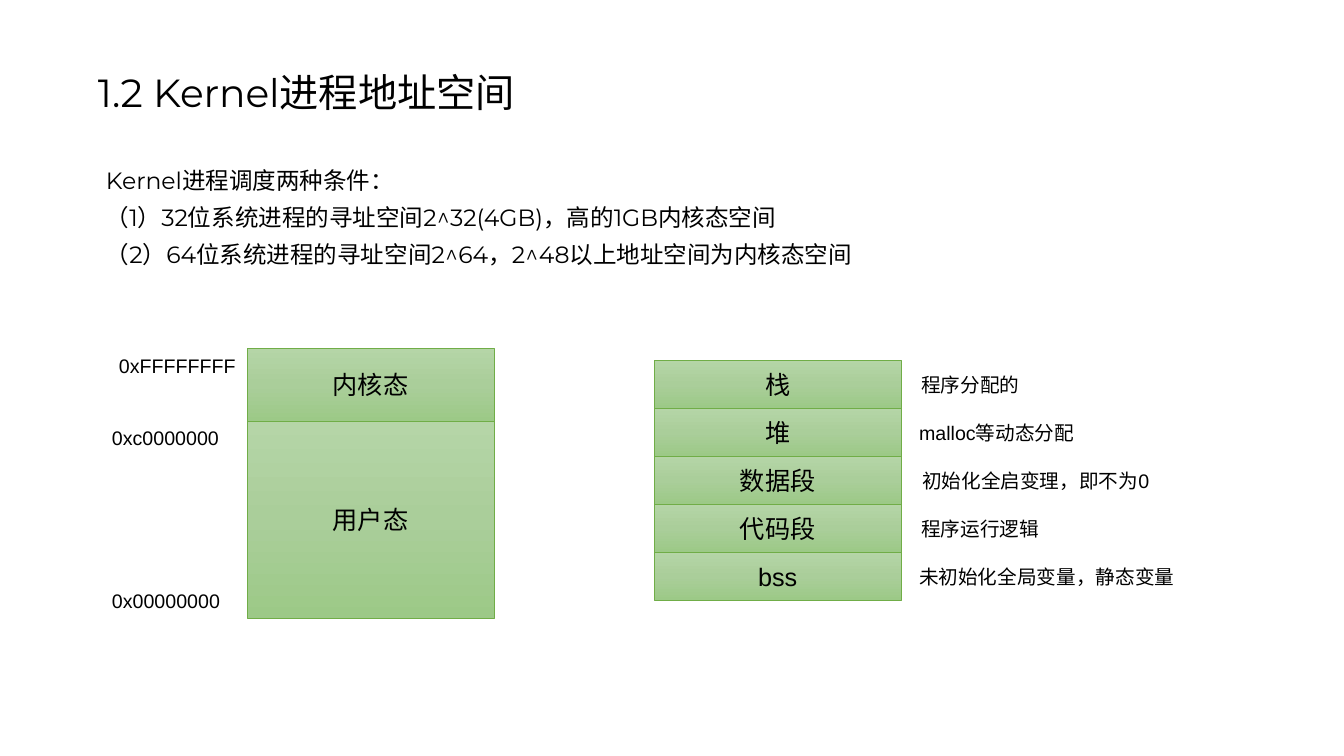
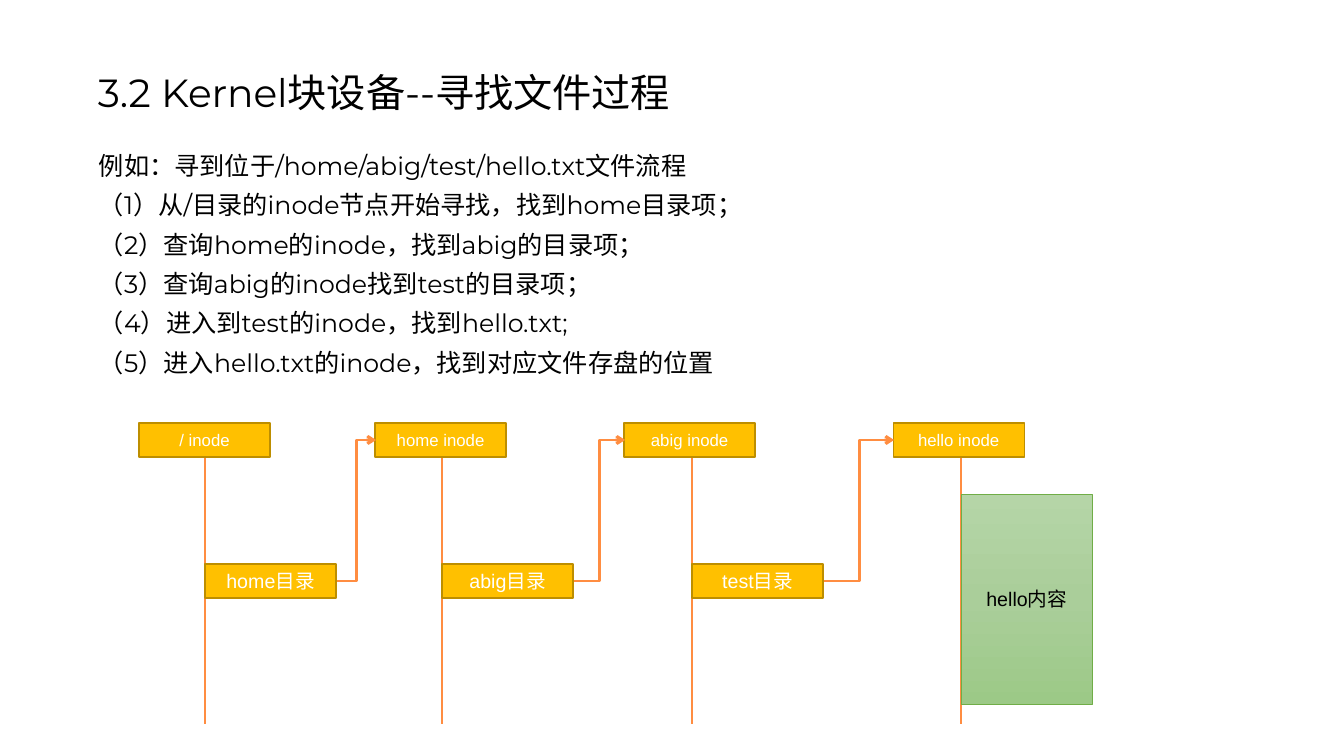
import pptx
import pptx.util
import pptx.dml.color
import pptx.enum.dml
import pptx.enum.shapes
import pptx.enum.text
import pptx.oxml.ns
import copy
import lxml.etree

RGB = pptx.dml.color.RGBColor
BLACK = RGB(0x00, 0x00, 0x00)
WHITE = RGB(0xFF, 0xFF, 0xFF)
GREEN_STOPS = [(0, RGB(0xB5, 0xD5, 0xA7)), (0.5, RGB(0xAA, 0xCE, 0x9A)), (1, RGB(0x9C, 0xC9, 0x87))]
GREEN_LINE = RGB(0x70, 0xAD, 0x47)
GOLD = RGB(0xFF, 0xC0, 0x00)
GOLD_LINE = RGB(0xBD, 0x8E, 0x00)
ORANGE = RGB(0xFF, 0x8D, 0x41)

HEAD_FONT = "Montserrat"
TEXT_FONT = "Arial"
ANCHOR = pptx.enum.text.MSO_ANCHOR
ALIGN = pptx.enum.text.PP_ALIGN
LINK = pptx.enum.shapes.MSO_CONNECTOR
qn = pptx.oxml.ns.qn


def px(length):
    return pptx.util.Emu(round(length * 914400 / 100.8))


class Deck:
    def __init__(self):
        self.deck = pptx.Presentation()
        self.deck.slide_width = pptx.util.Inches(13.33)
        self.deck.slide_height = pptx.util.Inches(7.5)
        self.page = None

    def add_page(self, title):
        self.page = self.deck.slides.add_slide(self.deck.slide_layouts[6])
        self.heading_text([title], 88, 28, 1008, 92, 28)

    def fill_text(self, shape, lines, font, para_format):
        frame = shape.text_frame
        frame.word_wrap = True
        for index, line in enumerate(lines):
            para = frame.add_paragraph() if index else frame.paragraphs[0]
            for name, value in para_format.items():
                setattr(para, name, value)
            span = para.add_run()
            span.text = line
            for name, value in font.items():
                if name == "color":
                    span.font.color.rgb = value
                else:
                    setattr(span.font, name, value)
        return frame

    def heading_text(self, lines, left, top, width, height, size):
        box = self.page.shapes.add_textbox(px(left), px(top), px(width), px(height))
        font = {"name": HEAD_FONT, "size": pptx.util.Pt(size), "color": BLACK}
        frame = self.fill_text(box, lines, font, {"line_spacing": 1.3})
        frame.vertical_anchor = ANCHOR.BOTTOM

    def label(self, text, left, top, width):
        box = self.page.shapes.add_textbox(px(left), px(top), px(width), px(34))
        font = {"name": TEXT_FONT, "size": pptx.util.Pt(14), "color": BLACK}
        frame = self.fill_text(box, [text], font, {})
        frame.auto_size = pptx.enum.text.MSO_AUTO_SIZE.SHAPE_TO_FIT_TEXT

    def block(self, text, left, top, width, height, size, color):
        kind = pptx.enum.shapes.MSO_SHAPE.RECTANGLE
        shape = self.page.shapes.add_shape(kind, px(left), px(top), px(width), px(height))
        shape.shadow.inherit = False
        font = {"name": TEXT_FONT, "size": pptx.util.Pt(size), "color": color}
        frame = self.fill_text(shape, [text], font, {"alignment": ALIGN.CENTER})
        frame.vertical_anchor = ANCHOR.MIDDLE
        return shape

    def green_block(self, text, left, top, width, height, size=18):
        shape = self.block(text, left, top, width, height, size, BLACK)
        shape.fill.gradient()
        shape.fill.gradient_angle = 270
        # A new gradient has two stops; the middle one is added
        stop_list = shape._element.spPr.find(qn("a:gradFill")).find(qn("a:gsLst"))
        stop_list.insert(1, copy.deepcopy(stop_list[0]))
        for stop, (position, color) in zip(shape.fill.gradient_stops, GREEN_STOPS):
            stop.position = position
            stop.color.rgb = color
        shape.line.color.rgb = GREEN_LINE
        shape.line.width = pptx.util.Pt(0.5)

    def gold_block(self, text, left, top, size):
        shape = self.block(text, left, top, 131, 34, size, WHITE)
        shape.fill.solid()
        shape.fill.fore_color.rgb = GOLD
        shape.line.color.rgb = GOLD_LINE
        shape.line.width = pptx.util.Pt(1)

    def connect(self, kind, start, end, weight, arrow=False):
        line = self.page.shapes.add_connector(kind, *map(px, start + end))
        line.line.color.rgb = ORANGE
        line.line.width = pptx.util.Pt(weight)
        properties = line._element.spPr
        if arrow:
            outline = properties.find(qn("a:ln"))
            lxml.etree.SubElement(outline, qn("a:tailEnd"), type="arrow")
        lxml.etree.SubElement(properties, qn("a:effectLst"))


slides = Deck()

# Process address space
slides.add_page("1.2 Kernel进程地址空间")
slides.heading_text([
    "Kernel进程调度两种条件：",
    "（1）32位系统进程的寻址空间2^32(4GB)，高的1GB内核态空间",
    "（2）64位系统进程的寻址空间2^64，2^48以上地址空间为内核态空间",
], 96, 136, 1008, 137, 16.8)

# Kernel and user space with their addresses
slides.green_block("内核态", 247, 348, 247, 73)
slides.green_block("用户态", 247, 421, 247, 197)
for address, left, top in [("0xFFFFFFFF", 109, 349), ("0xc0000000", 102, 421), ("0x00000000", 102, 584)]:
    slides.label(address, left, top, 145)

# Memory segments and what they hold
SEGMENTS = [
    ("栈", "程序分配的", 911),
    ("堆", "malloc等动态分配", 909),
    ("数据段", "初始化全启变理，即不为0", 912),
    ("代码段", "程序运行逻辑", 911),
    ("bss", "未初始化全局变量，静态变量", 909),
]
SEGMENT_HEIGHT = 48
for row, (segment, meaning, meaning_left) in enumerate(SEGMENTS):
    segment_top = 360 + row * SEGMENT_HEIGHT
    slides.green_block(segment, 654, segment_top, 247, SEGMENT_HEIGHT)
    slides.label(meaning, meaning_left, segment_top + 8, 287)

# Finding a file
slides.add_page("3.2 Kernel块设备--寻找文件过程")
slides.heading_text([
    "例如：寻到位于/home/abig/test/hello.txt文件流程",
    "（1）从/目录的inode节点开始寻找，找到home目录项；",
    "（2）查询home的inode，找到abig的目录项；",
    "（3）查询abig的inode找到test的目录项；",
    "（4）进入到test的inode，找到hello.txt;",
    "（5）进入hello.txt的inode，找到对应文件存盘的位置",
], 89, 141, 1142, 241, 18)

# Inodes with their stems and directory entries
INODES = [
    ("/ inode", 139, 205, "home目录"),
    ("home inode", 375, 442, "abig目录"),
    ("abig inode", 624, 692, "test目录"),
    ("hello inode", 893, 961, None),
]
for inode, left, stem, entry in INODES:
    slides.gold_block(inode, left, 423, 12)
    slides.connect(LINK.STRAIGHT, (stem, 458), (stem, 724), 1.5)
    if entry:
        slides.gold_block(entry, stem, 564, 14)
slides.green_block("hello内容", 961, 494, 131, 210, 14)

# Arrows from each directory entry to the next inode
for (_, _, stem, _), (_, next_left, _, _) in zip(INODES, INODES[1:]):
    slides.connect(LINK.ELBOW, (stem + 132, 581), (next_left + 1, 440), 2, arrow=True)

slides.deck.save("out.pptx")
